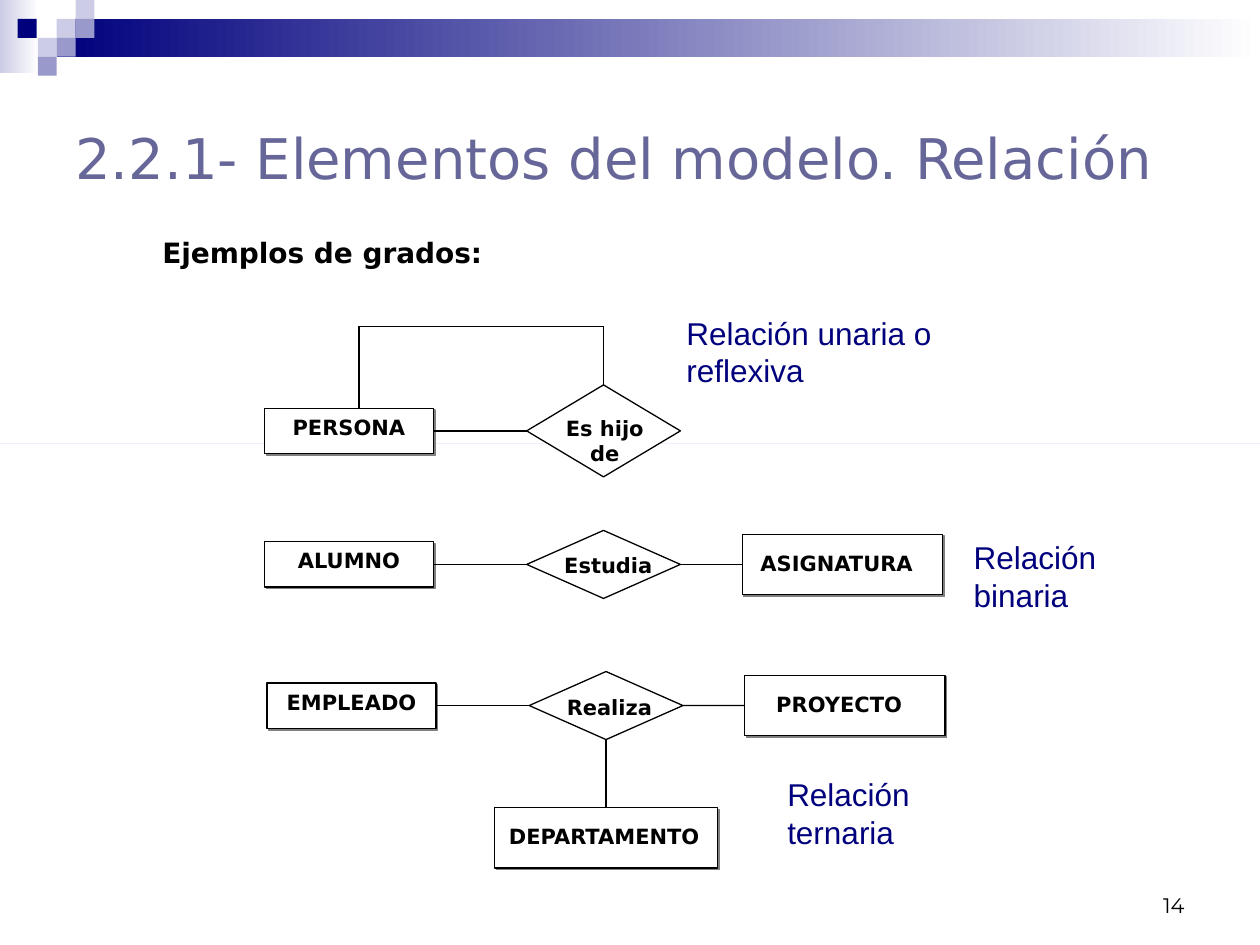
from lxml.etree import SubElement
from pptx import Presentation
from pptx.dml.color import RGBColor
from pptx.enum.shapes import MSO_CONNECTOR, MSO_SHAPE
from pptx.enum.text import MSO_ANCHOR, PP_ALIGN
from pptx.oxml.ns import qn
from pptx.util import Inches, Pt

NAVY = RGBColor(0x00, 0x00, 0x7D)
LAVENDER = RGBColor(0xCC, 0xCC, 0xE6)
PERIWINKLE = RGBColor(0x99, 0x99, 0xCC)
SLATE = RGBColor(0x66, 0x66, 0x99)
PALE_BLUE = RGBColor(0xC6, 0xD9, 0xF1)
WHITE = RGBColor(0xFF, 0xFF, 0xFF)
BLACK = RGBColor(0x00, 0x00, 0x00)

SANS = "DejaVu Sans"
LINE_WIDTH = Pt(0.75)
TOP, LEFT, BOTTOM, RIGHT = range(4)

DIAMOND_WIDTH = 1.22
ENTITY_SIZE = (1.34, 0.36)
WIDE_ENTITY_SIZE = (1.59, 0.48)
WIDE_INSETS = (0.05, 0.13, 0.14, 0.05)
ENTITY_OFFSET = 2.08  # from the left of an entity to the left of its diamond
WIDE_ENTITY_OFFSET = 1.71  # from the left of a diamond to its right-hand entity


def write(frame, text, size, font=SANS, color=BLACK, bold=False,
          align=PP_ALIGN.LEFT, anchor=MSO_ANCHOR.TOP, insets=(0.1, 0.05, 0.1, 0.05)):
    """Fill a text frame; insets are left, top, right, bottom."""
    frame.word_wrap = True
    frame.vertical_anchor = anchor
    (frame.margin_left, frame.margin_top,
     frame.margin_right, frame.margin_bottom) = map(Inches, insets)
    paragraph = frame.paragraphs[0]
    paragraph.text = text
    paragraph.alignment = align
    run_font = paragraph.runs[0].font
    run_font.name, run_font.size, run_font.bold = font, Pt(size), bold
    run_font.color.rgb = color


def add_label(slide, box, text, size, **style):
    label = slide.shapes.add_textbox(*map(Inches, box))
    write(label.text_frame, text, size, **style)


def add_block(slide, box, color, fade_to=None):
    """Borderless rectangle, plain or fading from left to right."""
    block = slide.shapes.add_shape(MSO_SHAPE.RECTANGLE, *map(Inches, box))
    block.shadow.inherit = False
    block.line.fill.background()
    if fade_to is None:
        block.fill.solid()
        block.fill.fore_color.rgb = color
    else:
        block.fill.gradient()
        block.fill.gradient_angle = 0
        for stop, stop_color in zip(block.fill.gradient_stops, (color, fade_to)):
            stop.color.rgb = stop_color


def add_outlined(slide, preset, box):
    outlined = slide.shapes.add_shape(preset, *map(Inches, box))
    outlined.shadow.inherit = False
    outlined.fill.solid()
    outlined.fill.fore_color.rgb = WHITE
    outlined.line.color.rgb = BLACK
    outlined.line.width = LINE_WIDTH
    return outlined


def add_entity(slide, left, axis, size, name, insets=(0.1, 0.05, 0.1, 0.05)):
    """Shadowed box centred vertically on its axis."""
    width, height = size
    entity = add_outlined(slide, MSO_SHAPE.RECTANGLE,
                          (left, axis - height / 2, width, height))
    effects = entity._element.spPr.find(qn("a:effectLst"))
    shadow = SubElement(effects, qn("a:outerShdw"), dist=str(Pt(1.4)), dir="2700000")
    SubElement(shadow, qn("a:srgbClr"), val="808080")
    write(entity.text_frame, name, 12, bold=True, align=PP_ALIGN.CENTER, insets=insets)
    return entity


def add_relationship(slide, left, axis, height, name, label_box, align=PP_ALIGN.LEFT):
    diamond = add_outlined(slide, MSO_SHAPE.DIAMOND,
                           (left, axis - height / 2, DIAMOND_WIDTH, height))
    add_label(slide, label_box, name, 12, bold=True, align=align)
    return diamond


def add_line(slide, start=(0, 0), end=(0, 0), begin_at=None, end_at=None):
    """Line between points, or between (shape, side) pairs where given."""
    line = slide.shapes.add_connector(MSO_CONNECTOR.STRAIGHT,
                                      *map(Inches, (*start, *end)))
    line.line.color.rgb = BLACK
    line.line.width = LINE_WIDTH
    SubElement(line._element.spPr, qn("a:effectLst"))
    if begin_at:
        line.begin_connect(*begin_at)
    if end_at:
        line.end_connect(*end_at)


def add_header(slide):
    add_block(slide, (0, 0, 0.31, 0.58), LAVENDER, WHITE)
    add_block(slide, (0.45, 0.15, 9.55, 0.3), NAVY, WHITE)
    side = 0.15
    for left, top, color in (
        (0.45, 0.15, LAVENDER), (0.6, 0, LAVENDER), (0.6, 0.15, PERIWINKLE),
        (0.3, 0.3, LAVENDER), (0.14, 0.15, NAVY), (0.45, 0.3, PERIWINKLE),
        (0.3, 0.45, PERIWINKLE),
    ):
        add_block(slide, (left, top, side, side), color)


def add_unary_example(slide):
    diamond_left, axis = 4.18, 3.42
    person = add_entity(slide, diamond_left - ENTITY_OFFSET, axis, ENTITY_SIZE, "PERSONA")
    child_of = add_relationship(slide, diamond_left, axis, 0.73, "Es hijo de",
                                (4.33, 3.25, 0.94, 0.27), PP_ALIGN.CENTER)
    add_line(slide, begin_at=(person, RIGHT), end_at=(child_of, LEFT))
    loop_left, loop_right, loop_top = 2.85, 4.79, 2.59
    add_line(slide, end=(loop_right, loop_top), begin_at=(child_of, TOP))
    add_line(slide, (loop_left, loop_top), (loop_right, loop_top))
    add_line(slide, (loop_left, axis - ENTITY_SIZE[1] / 2), (loop_left, loop_top))


def add_binary_example(slide, diamond_left, axis, first, verb, second):
    """Entity, relationship and entity in a row; returns the diamond."""
    subject = add_entity(slide, diamond_left - ENTITY_OFFSET, axis, ENTITY_SIZE, first)
    target = add_entity(slide, diamond_left + WIDE_ENTITY_OFFSET, axis,
                        WIDE_ENTITY_SIZE, second, WIDE_INSETS)
    relationship = add_relationship(slide, diamond_left, axis, 0.54, verb,
                                    (diamond_left + 0.2, axis - 0.14, 0.94, 0.27))
    add_line(slide, begin_at=(subject, RIGHT), end_at=(relationship, LEFT))
    add_line(slide, begin_at=(relationship, RIGHT), end_at=(target, LEFT))
    return relationship


def add_ternary_example(slide):
    diamond_left = 4.2
    carries_out = add_binary_example(slide, diamond_left, 5.6,
                                     "EMPLEADO", "Realiza", "PROYECTO")
    width, height = 1.77, 0.48
    department = add_entity(slide, diamond_left + (DIAMOND_WIDTH - width) / 2, 6.65,
                            (width, height), "DEPARTAMENTO", (0.05, 0.13, 0.08, 0.05))
    add_line(slide, begin_at=(department, TOP), end_at=(carries_out, BOTTOM))


def main():
    presentation = Presentation()
    presentation.slide_width, presentation.slide_height = Inches(10), Inches(7.5)
    slide = presentation.slides.add_slide(presentation.slide_layouts[6])

    add_header(slide)
    add_label(slide, (7.17, 6.83, 2.33, 0.5), "14", 12, font="Montserrat",
              align=PP_ALIGN.RIGHT, anchor=MSO_ANCHOR.BOTTOM)
    add_label(slide, (0.5, 0.5, 9, 1.5), "2.2.1- Elementos del modelo. Relación", 32,
              color=SLATE, anchor=MSO_ANCHOR.MIDDLE)
    add_label(slide, (1.19, 1.82, 8.14, 0.4), "Ejemplos de grados:", 16, bold=True)
    add_block(slide, (0, 3.52, 10, 0), PALE_BLUE)

    add_unary_example(slide)
    add_binary_example(slide, 4.18, 4.48, "ALUMNO", "Estudia", "ASIGNATURA")
    add_ternary_example(slide)

    for left, top, width, degree in (
        (5.35, 2.44, 2.43, "Relación unaria o reflexiva"),
        (7.63, 4.22, 1.9, "Relación binaria"),
        (6.15, 6.1, 1.9, "Relación ternaria"),
    ):
        add_label(slide, (left, top, width, 0.7), degree, 18, font="Arial", color=NAVY)

    presentation.save("out.pptx")


if __name__ == "__main__":
    main()
